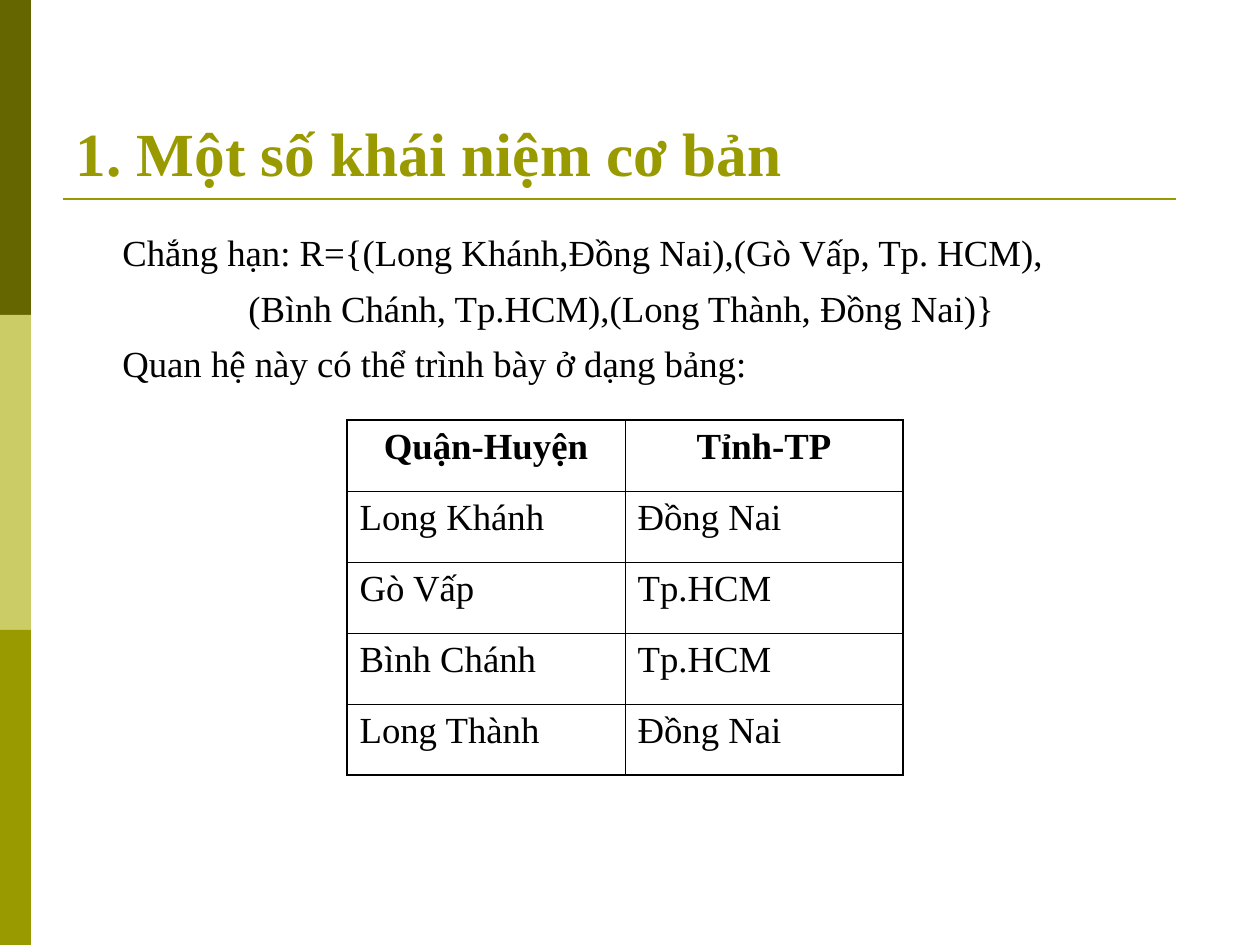
"""Build the slide on basic concepts, with a relation shown as a table."""
import lxml.etree
import pptx
import pptx.dml.color
import pptx.enum.shapes
import pptx.enum.text
import pptx.oxml.ns
import pptx.util

PX = 914400 / 126
FONT = "Times New Roman"
OLIVE, BLACK = "999900", "000000"
TITLE = "1. Một số khái niệm cơ bản"
SIDE_BANDS = ["666600", "CCCC66", OLIVE]
INTRO = [
    ("Chắng hạn: R={(Long Khánh,Đồng Nai),(Gò Vấp, Tp. HCM),", 47),
    ("(Bình Chánh, Tp.HCM),(Long Thành, Đồng Nai)}", 173),
    ("Quan hệ này có thể trình bày ở dạng bảng:", 47),
]
RELATION = [
    ("Quận-Huyện", "Tỉnh-TP"),
    ("Long Khánh", "Đồng Nai"),
    ("Gò Vấp", "Tp.HCM"),
    ("Bình Chánh", "Tp.HCM"),
    ("Long Thành", "Đồng Nai"),
]
COLUMN_WIDTH, ROW_HEIGHT = 278, 71
OUTER, INNER = 1.08, 0.45


def px(*lengths):
    return [pptx.util.Emu(round(length * PX)) for length in lengths]


def rgb(value):
    return pptx.dml.color.RGBColor.from_string(value)


def style(paragraph, size, color=BLACK, bold=False, align="LEFT"):
    paragraph.alignment = getattr(pptx.enum.text.PP_ALIGN, align)
    for run in paragraph.runs:
        run.font.name = FONT
        run.font.size = pptx.util.Pt(size)
        run.font.bold = bold
        run.font.color.rgb = rgb(color)


def add_borders(cell, widths):
    properties = cell._tc.get_or_add_tcPr()
    for side, width in widths.items():
        border = lxml.etree.SubElement(
            properties, pptx.oxml.ns.qn(f"a:ln{side}"), w=str(pptx.util.Pt(width)))
        fill = lxml.etree.SubElement(border, pptx.oxml.ns.qn("a:solidFill"))
        lxml.etree.SubElement(fill, pptx.oxml.ns.qn("a:srgbClr"), val=BLACK)


def add_decoration(slide):
    for index, color in enumerate(SIDE_BANDS):
        band = slide.shapes.add_shape(
            pptx.enum.shapes.MSO_SHAPE.RECTANGLE, *px(0, index * 315, 31, 315))
        band.shadow.inherit = False
        band.fill.solid()
        band.fill.fore_color.rgb = rgb(color)
        band.line.fill.background()
    rule = slide.shapes.add_connector(
        pptx.enum.shapes.MSO_CONNECTOR.STRAIGHT, *px(63, 199, 1176, 199))
    rule.line.color.rgb = rgb(OLIVE)
    rule.line.width = pptx.util.Pt(1.5)
    lxml.etree.SubElement(rule._element.spPr, pptx.oxml.ns.qn("a:effectLst"))


def add_title(slide):
    title = slide.shapes.title
    title.left, title.top, title.width, title.height = px(63, 38, 1134, 157)
    frame = title.text_frame
    frame.text = TITLE
    frame.auto_size = pptx.enum.text.MSO_AUTO_SIZE.NONE
    frame.vertical_anchor = pptx.enum.text.MSO_ANCHOR.BOTTOM
    style(frame.paragraphs[0], 35, OLIVE, bold=True)


def add_intro(slide):
    frame = slide.shapes.add_textbox(*px(63, 224, 1124, 180)).text_frame
    frame.word_wrap = True
    frame.text = "\n".join(text for text, indent in INTRO)
    for paragraph, (text, indent) in zip(frame.paragraphs, INTRO):
        paragraph._p.get_or_add_pPr().set("marL", str(px(indent)[0]))
        paragraph.space_before = pptx.util.Pt(6.5)
        style(paragraph, 21)


def add_relation(slide):
    rows, columns = len(RELATION), len(RELATION[0])
    table = slide.shapes.add_table(rows, columns, *px(
        347, 420, columns * COLUMN_WIDTH, rows * ROW_HEIGHT)).table
    table.first_row = table.horz_banding = False
    for r, record in enumerate(RELATION):
        for c, text in enumerate(record):
            cell = table.cell(r, c)
            cell.text = text
            heading = r == 0
            style(cell.text_frame.paragraphs[0], 21, bold=heading,
                  align="CENTER" if heading else "LEFT")
            edges = {"L": c == 0, "R": c == columns - 1,
                     "T": r == 0, "B": r == rows - 1}
            add_borders(cell, {side: OUTER if edge else INNER
                               for side, edge in edges.items()})
            cell.fill.background()


def main():
    deck = pptx.Presentation()
    deck.slide_width, deck.slide_height = px(1260, 945)
    slide = deck.slides.add_slide(deck.slide_layouts[5])
    add_decoration(slide)
    add_title(slide)
    add_intro(slide)
    add_relation(slide)
    deck.save("out.pptx")


if __name__ == "__main__":
    main()
